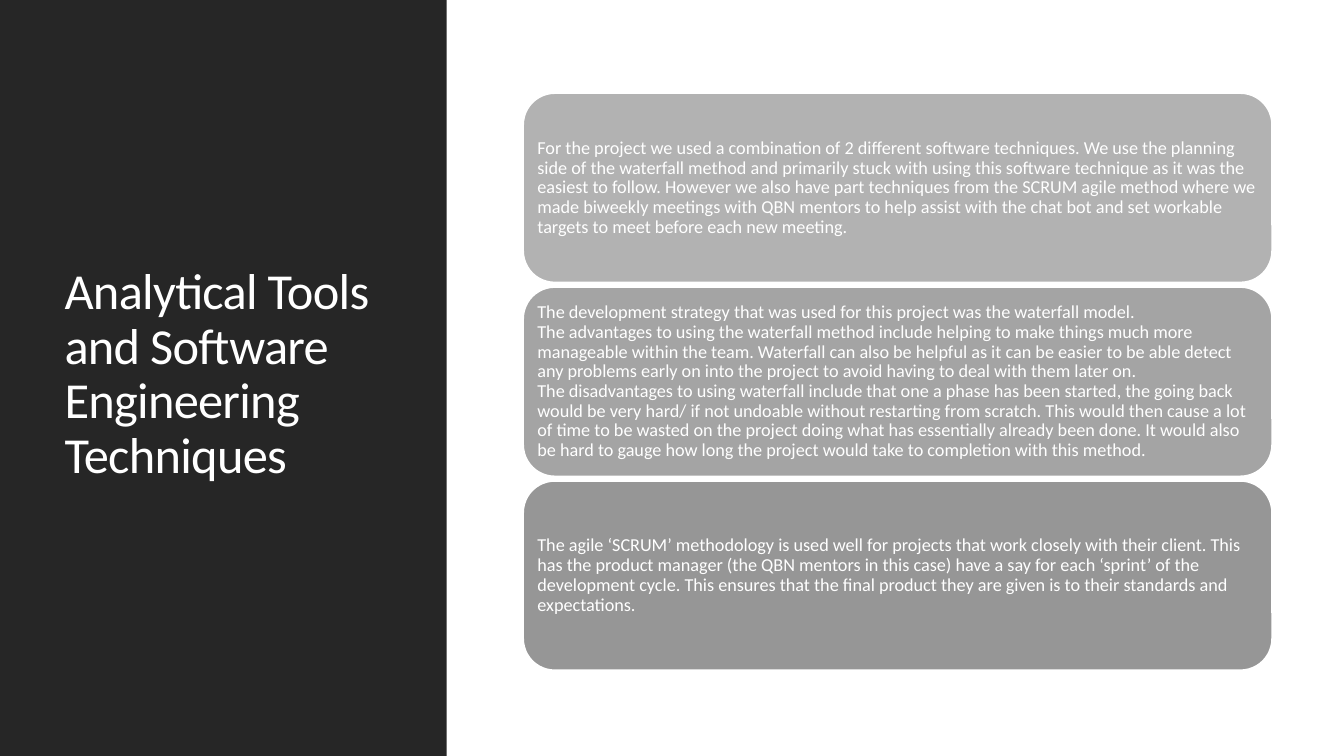
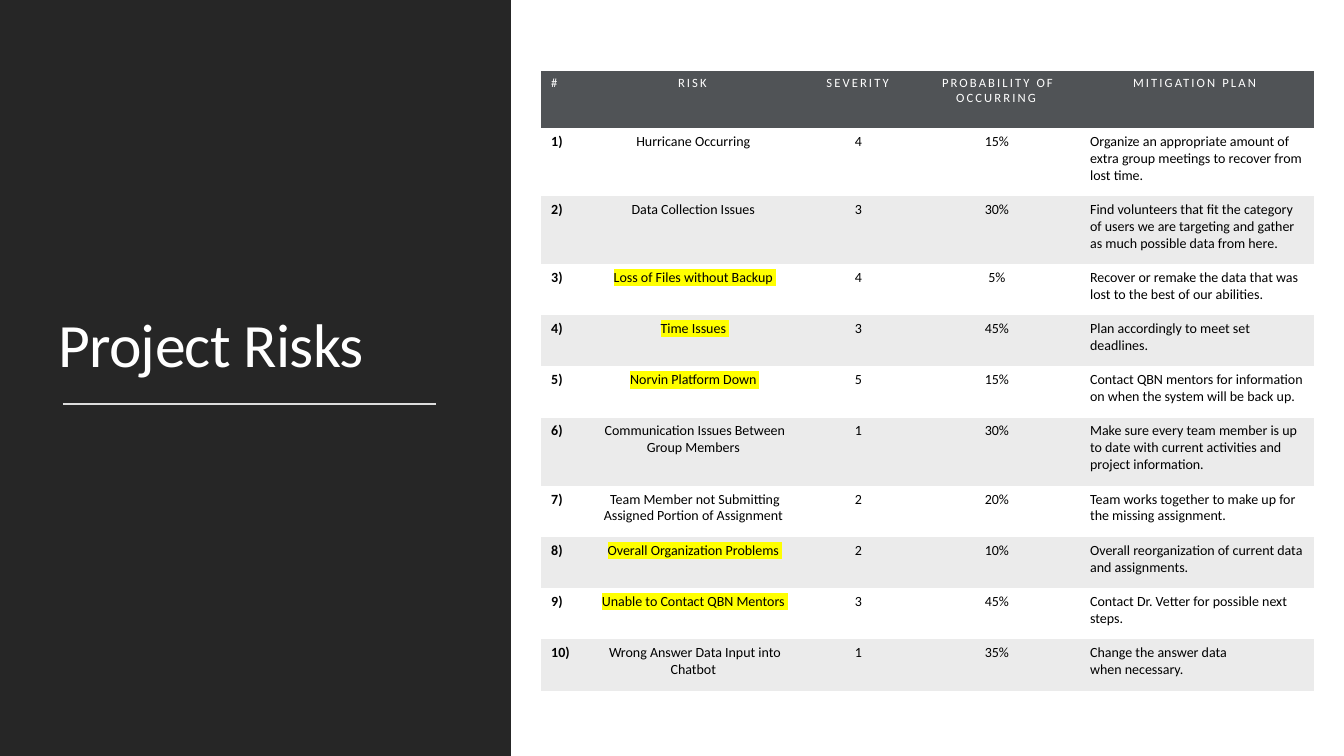
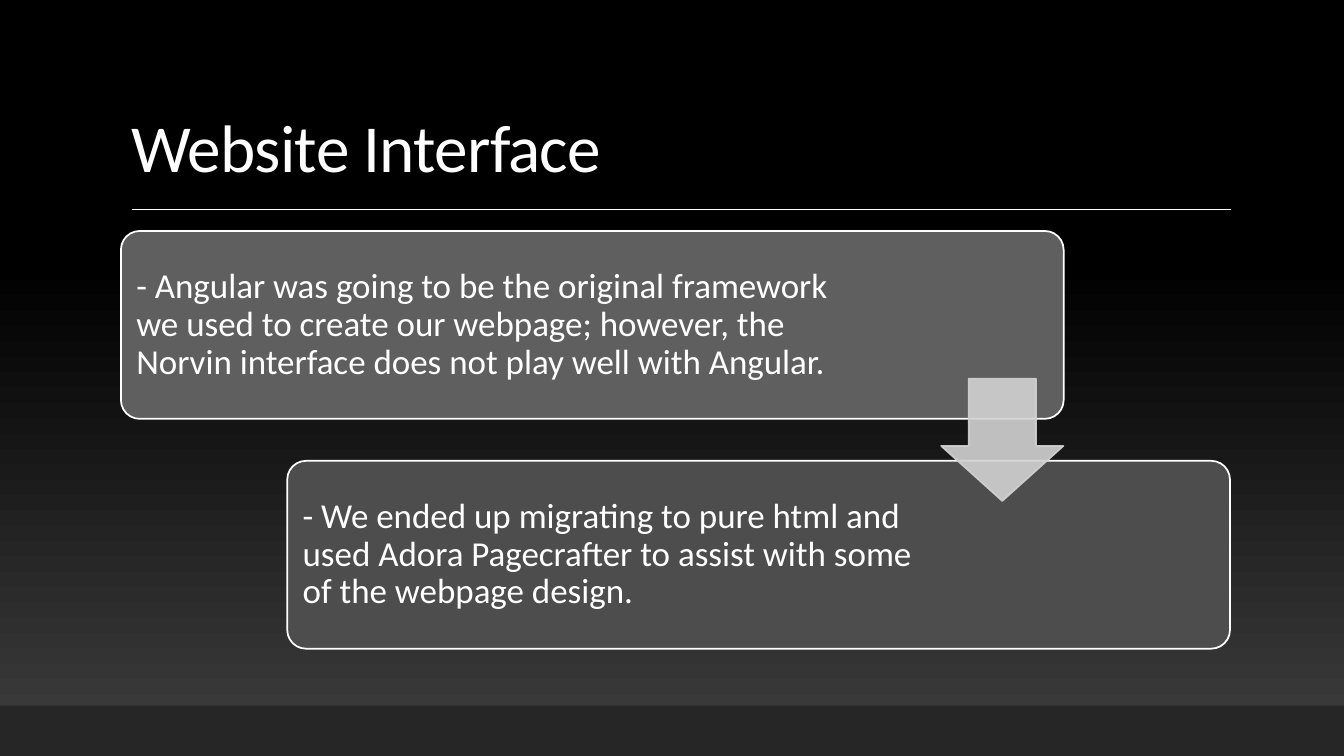
from dataclasses import dataclass

from lxml.etree import SubElement
from pptx import Presentation
from pptx.dml.color import RGBColor
from pptx.enum.shapes import MSO_CONNECTOR, MSO_SHAPE
from pptx.enum.text import MSO_ANCHOR, PP_ALIGN
from pptx.oxml.ns import qn
from pptx.util import Pt


@dataclass(frozen=True)
class Theme:
    font: str = "Calibri"
    white: str = "FFFFFF"
    black: str = "000000"
    panel: str = "262626"
    rule: str = "DDDDDD"
    glow: str = "3F3F3F"
    header: str = "505356"
    stripe: str = "EBEBEB"
    marker: str = "FFFF00"
    arrow: str = "D2D2D2"
    notes: tuple = ("B2B2B2", "A4A4A4", "969696")
    steps: tuple = ("5F5F5F", "4D4D4D")
    side_title: int = 36
    risk_title: int = 44
    page_title: int = 48
    step_size: int = 25
    note_size: int = 13
    cell_size: int = 10
    header_size: int = 9
    outline: float = 1.25


T = Theme()
W, H = 960, 540
NBSP = chr(160)


def rgb(value):
    return RGBColor.from_string(value)


def write(tf, text, size, color=T.white, anchor=MSO_ANCHOR.MIDDLE, align=PP_ALIGN.LEFT,
          spacing=0.9, track=0, bold=False, inset=(7.2, 3.6, 7.2, 3.6)):
    tf.word_wrap = True
    tf.vertical_anchor = anchor
    tf.margin_left, tf.margin_top, tf.margin_right, tf.margin_bottom = map(Pt, inset)
    tf.text = text
    for p in tf.paragraphs:
        p.alignment, p.line_spacing = align, spacing
        f = p.font
        f.name, f.size, f.bold = T.font, Pt(size), bold
        f.color.rgb = rgb(color)
        f._element.set("spc", str(int(track * 100)))


prs = Presentation()
prs.slide_width, prs.slide_height = Pt(W), Pt(H)

# Frame of each slide: dark area, title and rule
frames = [
    # dark area, title, title box, size, anchor, rule (x1, x2, y, colour, width)
    ((0, 0, 319, H), "Analytical Tools and Software Engineering Techniques",
     (39, 41, 243, 454), T.side_title, MSO_ANCHOR.MIDDLE, None),
    ((0, 0, 365, H), "Project Risks",
     (34.6, 50.4, 288, 225.4), T.risk_title, MSO_ANCHOR.BOTTOM, (45, 311.5, 288.7, T.rule, 1.5)),
    ((0, 504, W, 36), "Website Interface",
     (86.6, 22.3, 792, 114.5), T.page_title, MSO_ANCHOR.BOTTOM, (94.3, 879, 149.5, T.white, 1)),
]
slides = []
for dark, title, box, size, anchor, rule in frames:
    s = prs.slides.add_slide(prs.slide_layouts[6])
    slides.append(s)
    sp = s.shapes.add_shape(MSO_SHAPE.RECTANGLE, *map(Pt, dark))
    sp.shadow.inherit = False
    sp.fill.solid()
    sp.fill.fore_color.rgb = rgb(T.panel)
    sp.line.fill.background()
    write(s.shapes.add_textbox(*map(Pt, box)).text_frame, title, size, anchor=anchor, track=-0.5)
    if rule:
        x1, x2, y, color, width = rule
        line = s.shapes.add_connector(MSO_CONNECTOR.STRAIGHT, Pt(x1), Pt(y), Pt(x2), Pt(y))
        line.line.color.rgb = rgb(color)
        line.line.width = Pt(width)
        SubElement(line._element.spPr, qn("a:effectLst"))
techniques, risks, website = slides

# Slide 3 background: grey rising into black
fill = website.background.fill
fill.gradient()
fill.gradient_angle = 90
for stop, position, color in zip(fill.gradient_stops, (0, 0.65), (T.glow, T.black)):
    stop.position, stop.color.rgb = position, rgb(color)

# Rounded cards of slides 1 and 3
notes = [
    "For the project we used a combination of 2 different software techniques. We use the planning "
    "side of the waterfall method and primarily stuck with using this software technique as it was "
    "the easiest to follow. However we also have part techniques from the SCRUM agile method where "
    "we made biweekly meetings with QBN mentors to help assist with the chat bot and set workable "
    "targets to meet before each new meeting.",
    "The development strategy that was used for this project was the waterfall model.\n"
    "The advantages to using the waterfall method include helping to make things much more "
    "manageable within the team. Waterfall can also be helpful as it can be easier to be able "
    "detect any problems early on into the project to avoid having to deal with them later on.\n"
    "The disadvantages to using waterfall include that one a phase has been started, the going "
    "back would be very hard/ if not undoable without restarting from scratch. This would then "
    "cause a lot of time to be wasted on the project doing what has essentially already been done. "
    "It would also be hard to gauge how long the project would take to completion with this method.",
    "The agile ‘SCRUM’ methodology is used well for projects that work closely with their client. "
    "This has the product manager (the QBN mentors in this case) have a say for each ‘sprint’ of "
    "the development cycle. This ensures that the final product they are given is to their "
    "standards and expectations.",
]
steps = [
    ("- Angular was going to be the original framework we used to create our webpage; however, the "
     "Norvin interface does not play well with Angular.", 138.7),
    ("- We ended up migrating to pure html and used Adora Pagecrafter to assist with some of the "
     "webpage design.", 213.6),
]
cards = [(techniques, (373.7, 66.5 + 138.5 * i, 535, 135.3), 0.167, T.notes[i], text,
          T.note_size, (3.6,) * 4) for i, text in enumerate(notes)]
cards += [(website, (86.4 + 118.8 * i, 165 + 164.2 * i, 673.4, 134.2), 0.1, T.steps[i], text,
           T.step_size, (7.2, 7.2, right, 7.2)) for i, (text, right) in enumerate(steps)]
for s, box, corner, color, text, size, inset in cards:
    sp = s.shapes.add_shape(MSO_SHAPE.ROUNDED_RECTANGLE, *map(Pt, box))
    sp.shadow.inherit = False
    sp.adjustments[0] = corner
    sp.fill.solid()
    sp.fill.fore_color.rgb = rgb(color)
    sp.line.color.rgb = rgb(T.white)
    sp.line.width = Pt(T.outline)
    write(sp.text_frame, text, size, inset=inset)

# Slide 3 arrow, slightly see-through
arrow = website.shapes.add_shape(MSO_SHAPE.DOWN_ARROW, Pt(672.3), Pt(270.5), Pt(87.3), Pt(87.3))
arrow.shadow.inherit = False
arrow.adjustments[0], arrow.adjustments[1] = 0.45, 0.55
arrow.adjustments[0], arrow.adjustments[1] = 0.55, 0.45
arrow.fill.solid()
arrow.fill.fore_color.rgb = rgb(T.arrow)
arrow.line.color.rgb = rgb(T.arrow)
arrow.line.width = Pt(T.outline)
for clr in arrow._element.spPr.iter(qn("a:srgbClr")):
    SubElement(clr, qn("a:alpha"), val="90000")

# Slide 2 risk table
header = ("#", "RISK", "SEVERITY", "PROBABILITY OF OCCURRING", "MITIGATION PLAN")
rows = [
    ("Hurricane Occurring", 4, 15,
     "Organize an appropriate amount of extra group meetings to recover from lost time."),
    ("Data Collection Issues", 3, 30,
     "Find volunteers that fit the category of users we are targeting and gather as much possible "
     "data from here."),
    ("Loss of Files without Backup", 4, 5,
     "Recover or remake the data that was lost to the best of our abilities."),
    ("Time Issues", 3, 45, "Plan accordingly to meet set deadlines."),
    ("Norvin Platform Down", 5, 15,
     "Contact QBN mentors for information on when the system will be back up."),
    ("Communication Issues Between Group Members", 1, 30,
     "Make sure every team member is up to date with current activities and project information."),
    ("Team Member not Submitting Assigned Portion of Assignment", 2, 20,
     "Team works together to make up for the missing assignment."),
    ("Overall Organization Problems", 2, 10,
     "Overall reorganization of current data and assignments."),
    ("Unable to Contact QBN Mentors", 3, 45, "Contact Dr. Vetter for possible next steps."),
    ("Wrong Answer Data Input into Chatbot", 1, 35,
     f"Change the answer data when{NBSP}necessary."),
]
highlighted = {3, 4, 5, 8, 9}
three_lines = {1, 2, 6}
widths = (32.4, 154.8, 81.2, 116.6, 167)
heights = [41] + [48.6 if n in three_lines else 36.6 for n in range(1, len(rows) + 1)]
grid = [header] + [(f"{n})", risk, str(severity), f"{chance}%", plan)
                   for n, (risk, severity, chance, plan) in enumerate(rows, 1)]

table = risks.shapes.add_table(len(grid), len(header), Pt(386.5), Pt(50.4),
                               Pt(sum(widths)), Pt(sum(heights))).table
table.first_row = table.horz_banding = False
# "No Style, No Grid"
table._tbl.tblPr.find(qn("a:tableStyleId")).text = "{2D5ABB26-0587-4C30-8999-92F81FD0307C}"
for column, width in zip(table.columns, widths):
    column.width = Pt(width)
for n, (row, height, texts) in enumerate(zip(table.rows, heights, grid)):
    row.height = Pt(height)
    for c, (cell, text) in enumerate(zip(row.cells, texts)):
        is_header = n == 0
        centred = 1 <= c <= 3 or (is_header and c > 0)
        if is_header or n % 2 == 0:
            cell.fill.solid()
            cell.fill.fore_color.rgb = rgb(T.header if is_header else T.stripe)
        else:
            cell.fill.background()
        write(cell.text_frame, text + NBSP, T.header_size if is_header else T.cell_size,
              T.white if is_header else T.black, MSO_ANCHOR.TOP,
              PP_ALIGN.CENTER if centred else PP_ALIGN.LEFT, spacing=1,
              track=1.5 if is_header else 0, bold=c == 0 and not is_header, inset=(6.5,) * 4)
        if c == 1 and n in highlighted:
            r = cell.text_frame.paragraphs[0].runs[0]
            mark = SubElement(r._r.get_or_add_rPr(), qn("a:highlight"))
            SubElement(mark, qn("a:srgbClr"), val=T.marker)

prs.save("out.pptx")
